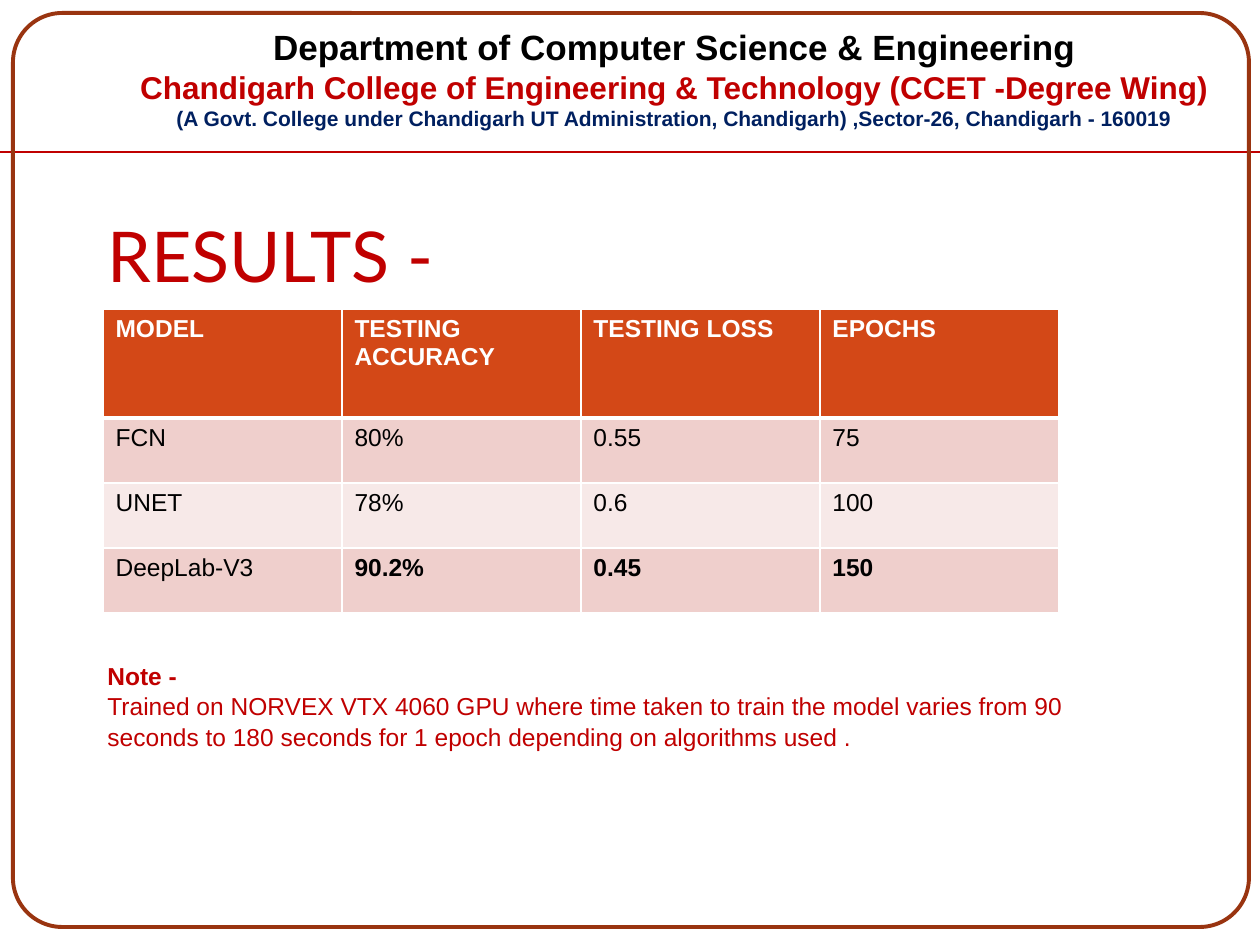
from dataclasses import dataclass

import pptx
import pptx.dml.color
import pptx.enum.shapes
import pptx.enum.text
import pptx.oxml.ns
import pptx.util
from lxml import etree

RGBColor = pptx.dml.color.RGBColor
Align = pptx.enum.text.PP_ALIGN
Anchor = pptx.enum.text.MSO_ANCHOR

BLACK = RGBColor(0x00, 0x00, 0x00)
WHITE = RGBColor(0xFF, 0xFF, 0xFF)
RED = RGBColor(0xC0, 0x00, 0x00)
NAVY = RGBColor(0x00, 0x20, 0x60)
RUST = RGBColor(0x99, 0x34, 0x10)
ORANGE = RGBColor(0xD3, 0x48, 0x17)
PINK = RGBColor(0xEF, 0xCF, 0xCC)
PALE_PINK = RGBColor(0xF7, 0xE9, 0xE8)

PX_PER_INCH = 126
PAGE_WIDTH, PAGE_HEIGHT = 1260, 945


@dataclass(frozen=True)
class Line:
    text: str
    size: int
    color: RGBColor
    bold: bool = False
    font: str = "Arial"


@dataclass(frozen=True)
class TextBlock:
    left: int
    top: int
    width: int
    height: int
    lines: tuple[Line, ...]
    align: Align = Align.LEFT
    anchor: Anchor = Anchor.TOP
    bottom_inset: int = 6
    spacing: float = 1.0


def px(length: int) -> pptx.util.Emu:
    return pptx.util.Emu(round(length * 914400 / PX_PER_INCH))


def add_line(para, line: Line) -> None:
    span = para.add_run()
    span.text = line.text
    span.font.name = line.font
    span.font.size = pptx.util.Pt(line.size)
    span.font.bold = line.bold
    span.font.color.rgb = line.color


def add_text(page, block: TextBlock) -> None:
    box = page.shapes.add_textbox(
        px(block.left), px(block.top), px(block.width), px(block.height))
    frame = box.text_frame
    frame.word_wrap = True
    frame.vertical_anchor = block.anchor
    frame.margin_bottom = px(block.bottom_inset)
    for index, line in enumerate(block.lines):
        para = frame.add_paragraph() if index else frame.paragraphs[0]
        para.alignment = block.align
        para.line_spacing = block.spacing
        add_line(para, line)


def add_border(cell, side: str, points: int) -> None:
    qn = pptx.oxml.ns.qn
    edge = etree.SubElement(cell._tc.get_or_add_tcPr(), qn(f"a:ln{side}"),
                            w=str(pptx.util.Pt(points)))
    fill = etree.SubElement(edge, qn("a:solidFill"))
    etree.SubElement(fill, qn("a:srgbClr"), val=str(WHITE))


def fill_cell(cell, line: Line, fill: RGBColor, top: int, bottom: int) -> None:
    for side, points in (("L", 1), ("R", 1), ("T", top), ("B", bottom)):
        add_border(cell, side, points)
    cell.fill.solid()
    cell.fill.fore_color.rgb = fill
    add_line(cell.text_frame.paragraphs[0], line)


def add_frame(page) -> None:
    rule = page.shapes.add_connector(
        pptx.enum.shapes.MSO_CONNECTOR.STRAIGHT, 0, px(152), px(PAGE_WIDTH), px(152))
    rule.line.color.rgb = RED
    rule.line.width = pptx.util.Pt(1.5)
    etree.SubElement(rule._element.spPr, pptx.oxml.ns.qn("a:effectLst"))

    border = page.shapes.add_shape(
        pptx.enum.shapes.MSO_SHAPE.ROUNDED_RECTANGLE, px(13), px(13), px(1236), px(914))
    border.adjustments[0] = 0.054
    border.shadow.inherit = False
    border.fill.background()
    border.line.color.rgb = RUST
    border.line.width = pptx.util.Pt(2.25)


HEADER = TextBlock(114, 0, 1121, 137, (
    Line("Department of Computer Science & Engineering", 20, BLACK, True),
    Line("Chandigarh College of Engineering & Technology (CCET -Degree Wing)",
         18, RED, True),
    Line("(A Govt. College under Chandigarh UT Administration, Chandigarh) "
         ",Sector-26, Chandigarh - 160019", 12, NAVY, True),
), Align.CENTER, Anchor.BOTTOM)

TITLE = TextBlock(95, 190, 1071, 119, (Line("RESULTS -", 40, RED, font="Lato"),),
                  Align.JUSTIFY, Anchor.BOTTOM, bottom_inset=13)

NOTE = TextBlock(95, 653, 1053, 102, (
    Line("Note -", 14, RED, True),
    Line("Trained on NORVEX VTX 4060 GPU where time taken to train the model varies "
         "from 90 seconds to 180 seconds for 1 epoch depending on algorithms used .",
         14, RED),
), spacing=1.05)

RESULTS = (
    ("MODEL", "TESTING ACCURACY", "TESTING LOSS", "EPOCHS"),
    ("FCN", "80%", "0.55", "75"),
    ("UNET", "78%", "0.6", "100"),
    ("DeepLab-V3", "90.2%", "0.45", "150"),
)
ROW_HEIGHTS = (109, 65, 65, 65)
COLUMN_WIDTH = 239
BEST_ROW = 3


def add_results(page) -> None:
    columns = len(RESULTS[0])
    table = page.shapes.add_table(
        len(RESULTS), columns, px(103), px(309),
        px(COLUMN_WIDTH * columns), px(sum(ROW_HEIGHTS))).table
    for column in table.columns:
        column.width = px(COLUMN_WIDTH)
    for row, (values, height) in enumerate(zip(RESULTS, ROW_HEIGHTS)):
        table.rows[row].height = px(height)
        header = row == 0
        fill = ORANGE if header else PINK if row % 2 else PALE_PINK
        for column, value in enumerate(values):
            bold = header or (row == BEST_ROW and column > 0)
            line = Line(value, 14, WHITE if header else BLACK, bold)
            fill_cell(table.cell(row, column), line, fill,
                      top=3 if row == 1 else 1, bottom=3 if header else 1)


def main() -> None:
    deck = pptx.Presentation()
    deck.slide_width, deck.slide_height = px(PAGE_WIDTH), px(PAGE_HEIGHT)
    page = deck.slides.add_slide(deck.slide_layouts[6])

    # Page frame and college header
    add_frame(page)
    add_text(page, HEADER)

    # Results and note
    add_text(page, TITLE)
    add_results(page)
    add_text(page, NOTE)
    deck.save("out.pptx")


if __name__ == "__main__":
    main()
